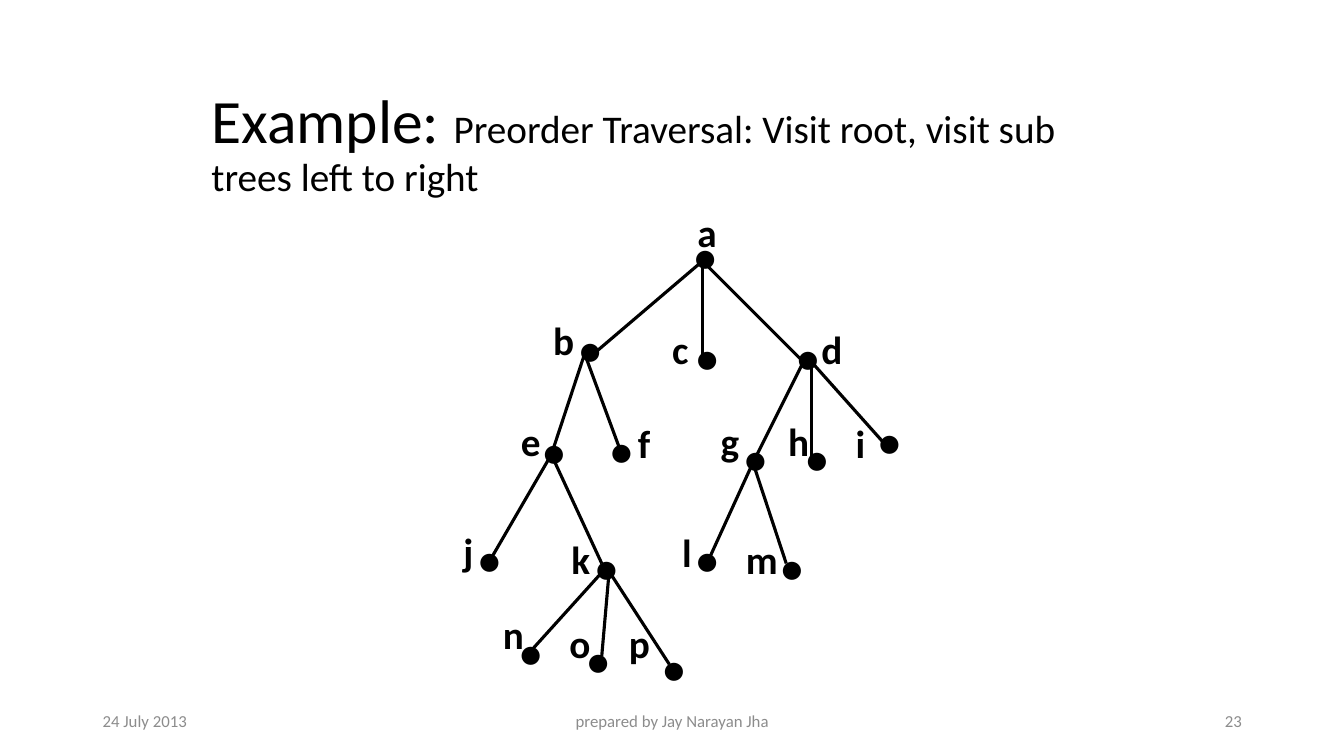
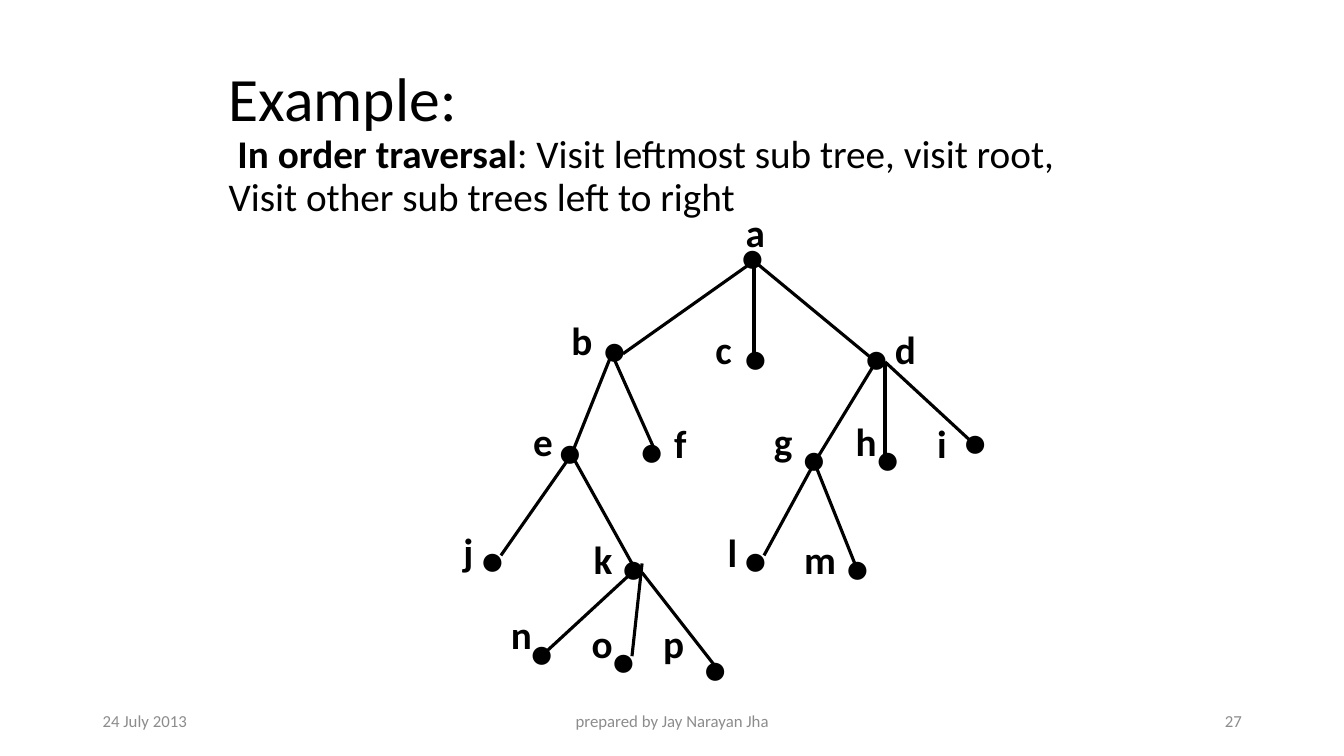
from lxml.etree import SubElement
from pptx import Presentation
from pptx.dml.color import RGBColor
from pptx.enum.shapes import MSO_CONNECTOR
from pptx.enum.text import MSO_ANCHOR, MSO_AUTO_SIZE, PP_ALIGN
from pptx.oxml.ns import qn
from pptx.util import Emu, Pt

PX = 9144  # EMU in one px, 100 px to the inch

# Node: (dot x, y), (label x, y, width), (edge from parent x1, y1, x2, y2)
NODES = {
    "a": ((678, 226), (682, 202, 40), None),
    "b": ((564, 318), (539, 309, 41), (697, 259, 589, 351)),
    "c": ((680, 326), (657, 318, 37), (697, 259, 697, 359)),
    "d": ((780, 326), (805, 318, 41), (697, 259, 797, 359)),
    "e": ((528, 419), (507, 409, 40), (580, 351, 547, 451)),
    "f": ((595, 418), (623, 411, 33), (580, 351, 614, 443)),
    "g": ((728, 426), (705, 409, 39), (797, 359, 747, 459)),
    "h": ((789, 426), (772, 409, 41), (805, 359, 805, 459)),
    "i": ((861, 409), (839, 411, 30), (805, 359, 880, 443)),
    "j": ((464, 526), (450, 518, 30), (547, 451, 489, 551)),
    "k": ((580, 534), (557, 526, 39), (547, 451, 597, 559)),
    "l": ((680, 526), (667, 519, 30), (747, 459, 705, 551)),
    "m": ((764, 534), (730, 526, 52), (747, 459, 780, 559)),
    "n": ((505, 618), (489, 601, 41), (597, 568, 522, 651)),
    "o": ((572, 626), (555, 609, 41), (605, 559, 597, 651)),
    "p": ((647, 634), (614, 609, 41), (605, 568, 664, 659)),
}
TREE_LEFT = 450
DOT_WIDTH, NODE_HEIGHT = 44, 57


def color(value):
    return RGBColor.from_string(value)


class Deck:
    """Shared style and the slide being built."""

    INK, MUTED = "000000", "8C8C8C"
    HEADING = {"size": Pt(44)}
    RULE = {"size": Pt(28)}
    RULE_BOLD = {"size": Pt(28), "bold": True}
    FOOTER = {"size": Pt(12)}

    def __init__(self):
        self.prs = Presentation()
        self.prs.slide_height = Emu(750 * PX)
        self.prs.slide_width = Emu(750 * PX * 16 // 9)
        self.s = None

    def new_slide(self):
        self.s = self.prs.slides.add_slide(self.prs.slide_layouts[6])

    def text(self, box, lines, ink=INK, frame=None, para=None):
        """Add a text box; each line is a list of (text, font format)."""
        sp = self.s.shapes.add_textbox(*(Emu(v * PX) for v in box))
        tf = sp.text_frame
        for name, value in {"word_wrap": True, **(frame or {})}.items():
            setattr(tf, name, value)
        for i, line in enumerate(lines):
            p = tf.add_paragraph() if i else tf.paragraphs[0]
            for name, value in (para or {}).items():
                setattr(p, name, value)
            for words, style in line:
                r = p.add_run()
                r.text = words
                for name, value in {"name": "Calibri", **style}.items():
                    setattr(r.font, name, value)
                r.font.color.rgb = color(ink)

    def title(self, left, top, width, lines):
        self.text((left, top, width, 140), lines, para={"line_spacing": 0.9})

    def edge(self, ends):
        c = self.s.shapes.add_connector(
            MSO_CONNECTOR.STRAIGHT, *(Emu(v * PX) for v in ends))
        c.line.color.rgb = color(self.INK)
        c.line.width = Pt(2.25)
        SubElement(c._element.spPr, qn("a:effectLst"))

    def tree(self, stretch):
        """Draw the tree, widened from its left edge by the given factor."""
        def wide(x):
            return round(TREE_LEFT + (x - TREE_LEFT) * stretch)

        fit = {"word_wrap": False, "auto_size": MSO_AUTO_SIZE.SHAPE_TO_FIT_TEXT}
        for letter, (dot, label, ends) in NODES.items():
            if ends:
                x1, y1, x2, y2 = ends
                self.edge((wide(x1), y1, wide(x2), y2))
            for mark, (x, y, width), style in (
                ("●", (*dot, DOT_WIDTH), self.RULE),
                (letter, label, self.RULE_BOLD),
            ):
                self.text((wide(x), y, width, NODE_HEIGHT), [[(mark, style)]],
                          frame=fit)

    def footer(self, number):
        for left, width, words, align in (
            (92, 300, "24 July 2013", PP_ALIGN.LEFT),
            (442, 450, "prepared by Jay Narayan Jha", PP_ALIGN.CENTER),
            (942, 300, str(number), PP_ALIGN.RIGHT),
        ):
            self.text((left, 695, width, 40), [[(words, self.FOOTER)]], self.MUTED,
                      frame={"vertical_anchor": MSO_ANCHOR.MIDDLE},
                      para={"alignment": align})


def main():
    deck = Deck()

    # Preorder traversal
    deck.new_slide()
    deck.title(200, 85, 933, [[
        ("Example: ", deck.HEADING),
        ("Preorder Traversal: Visit root, visit sub trees left to right", deck.RULE),
    ]])
    deck.tree(1)
    deck.footer(23)

    # In order traversal
    deck.new_slide()
    deck.title(217, 63, 908, [
        [("Example:", deck.HEADING)],
        [(" In order traversal", deck.RULE_BOLD),
         (": Visit leftmost sub tree, visit root, "
          "Visit other sub trees left to right", deck.RULE)],
    ])
    deck.tree(1.207)
    deck.footer(27)

    deck.prs.save("out.pptx")


if __name__ == "__main__":
    main()
